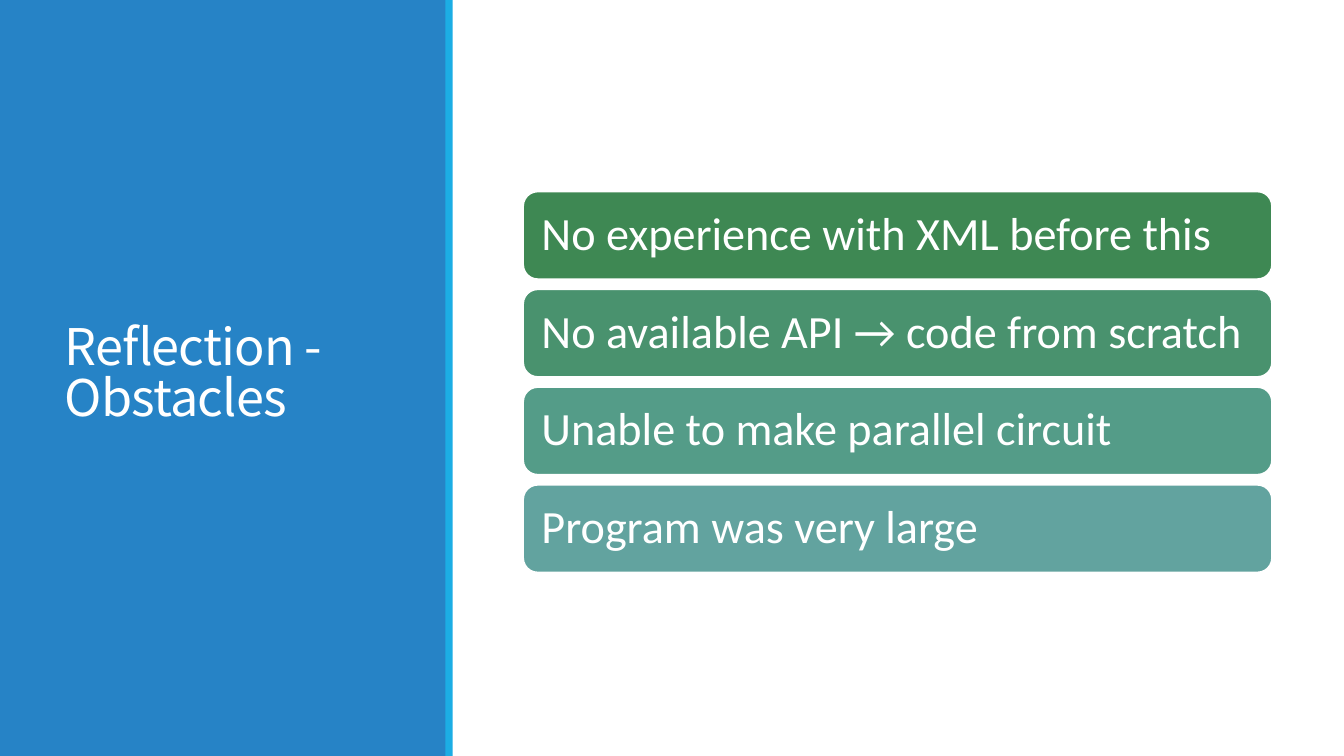
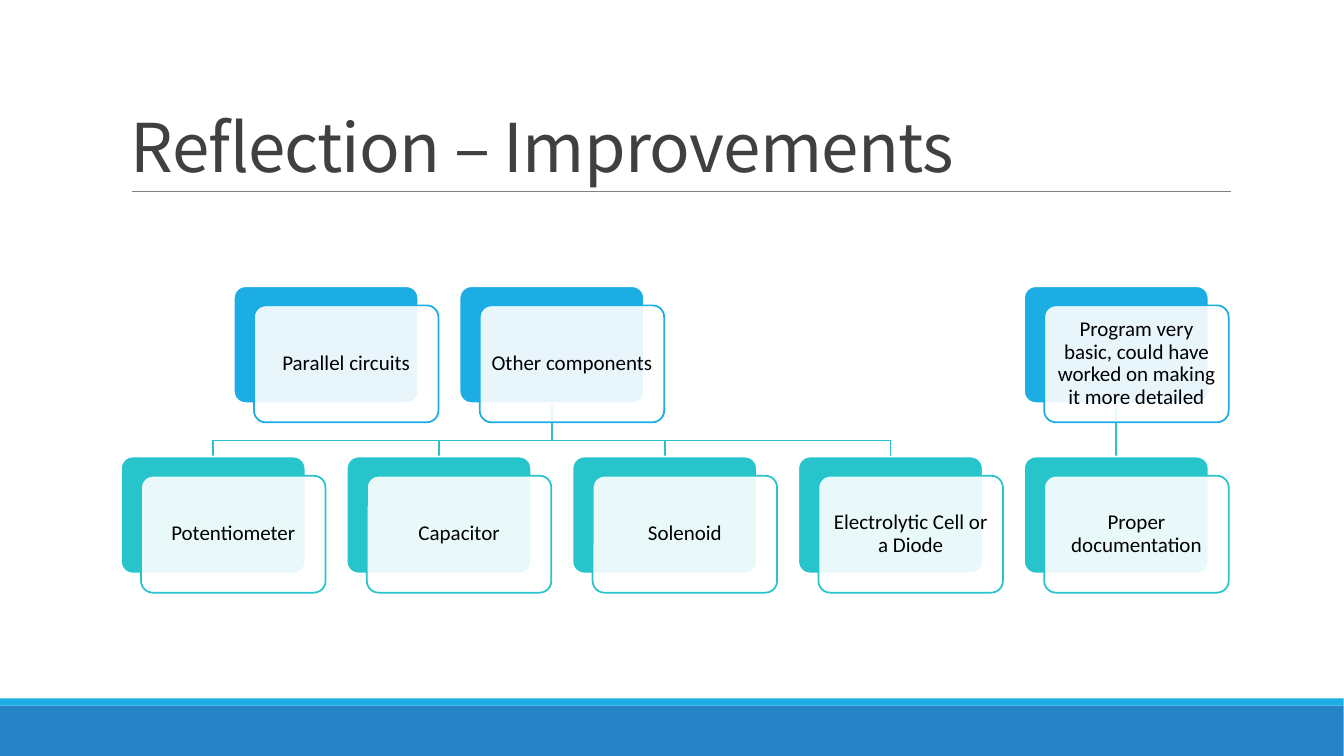
from pptx import Presentation
from pptx.dml.color import RGBColor
from pptx.enum.shapes import MSO_CONNECTOR, MSO_SHAPE
from pptx.enum.text import MSO_ANCHOR, PP_ALIGN
from pptx.oxml.ns import qn
from pptx.util import Emu, Pt
from lxml import etree

RECT, ROUND = MSO_SHAPE.RECTANGLE, MSO_SHAPE.ROUNDED_RECTANGLE
LINE = MSO_CONNECTOR.STRAIGHT
MIDDLE, BOTTOM = MSO_ANCHOR.MIDDLE, MSO_ANCHOR.BOTTOM
LEFT, CENTER = PP_ALIGN.LEFT, PP_ALIGN.CENTER

PX = 9144
WIDE, HIGH = 1333, 750
BLUE, SKY, TEAL = "2683C6", "1CADE4", "28C4CC"
WHITE, BLACK, DARK, GRAY = "FFFFFF", "000000", "404040", "808080"
HEAD, BODY = "Noto Sans CJK SC", "Calibri"

BARS = [
    ("No experience with XML before this", "3E8853"),
    ("No available API → code from scratch", "49926E"),
    ("Unable to make parallel circuit", "549C88"),
    ("Program was very large", "62A39F"),
]
BAR_X, BAR_Y, BAR_W, BAR_H, BAR_STEP = 519, 190, 743, 87, 97

TREE = [
    ("Parallel circuits", 0.5, []),
    ("Other components", 1.5,
     ["Potentiometer", "Capacitor", "Solenoid", "Electrolytic Cell or a Diode"]),
    ("Program very basic, could have worked on making it more detailed", 4,
     ["Proper documentation"]),
]
CARD_X, CARD_STEP, CARD_W, CARD_H = 120, 224, 183, 116
TOP_Y, LOW_Y, BUS_Y = 284, 453, 437
SHIFT_X, SHIFT_Y = 20, 19


def px(*nums):
    return [Emu(round(n * PX)) for n in nums]


def color(code):
    return RGBColor.from_string(code)


def write(shape, text, font, size, ink, inset, space, align=LEFT, anchor=MIDDLE):
    frame = shape.text_frame
    frame.text = text
    frame.word_wrap = True
    frame.vertical_anchor = anchor
    (frame.margin_left, frame.margin_top,
     frame.margin_right, frame.margin_bottom) = px(*inset)
    para = frame.paragraphs[0]
    para.alignment = align
    para.line_spacing = space
    run = para.runs[0]
    run.font.name = font
    run.font.size = Pt(size)
    run.font.color.rgb = color(ink)
    return run


def title(slide, text, box, size, ink, anchor):
    shape = slide.shapes.add_textbox(*px(*box))
    run = write(shape, text, HEAD, size, ink, (10, 5, 10, 5), 0.85, anchor=anchor)
    run.font._element.set("spc", "-50")


def block(slide, kind, box, fill, edge=None):
    shape = slide.shapes.add_shape(kind, *px(*box))
    shape.shadow.inherit = False
    shape.fill.solid()
    shape.fill.fore_color.rgb = color(fill)
    if edge:
        shape.line.color.rgb = color(edge)
        shape.line.width = Pt(1.25)
    else:
        shape.line.fill.background()
    return shape


def bands(slide, main, strip):
    block(slide, RECT, main, BLUE)
    block(slide, RECT, strip, SKY)


def stroke(slide, ends, ink, width):
    line = slide.shapes.add_connector(LINE, *px(*ends))
    line.line.color.rgb = color(ink)
    line.line.width = Pt(width)
    etree.SubElement(line._element.spPr, qn("a:effectLst"))


def card(slide, text, col, y, hue):
    x = CARD_X + col * CARD_STEP
    back = block(slide, ROUND, (x, y, CARD_W, CARD_H), hue, WHITE)
    front = block(slide, ROUND, (x + SHIFT_X, y + SHIFT_Y, CARD_W, CARD_H), WHITE, hue)
    for shape in (back, front):
        shape.adjustments[0] = 0.1
    tint = front.fill._xPr.find(qn("a:solidFill"))[0]
    etree.SubElement(tint, qn("a:alpha")).set("val", "90000")
    write(front, text, BODY, 15, BLACK, (6, 6, 6, 6), 0.9, CENTER)


def middle(col):
    return CARD_X + col * CARD_STEP + CARD_W / 2


def links(slide, col, cols):
    base = TOP_Y + CARD_H
    x = middle(col)
    if len(cols) == 1:
        parts = [(x, base, x, LOW_Y)]
    else:
        xs = [middle(c) for c in cols]
        parts = [(x, base, x, BUS_Y), (xs[0], BUS_Y, xs[-1], BUS_Y)]
        parts += [(k, BUS_Y, k, LOW_Y) for k in xs]
    for ends in parts:
        stroke(slide, ends, TEAL, 1.25)


def hurdles(slide):
    bands(slide, (0, 0, 443, HIGH), (442, 0, 7, HIGH))
    title(slide, "Reflection - Obstacles", (54, 57, 337, 631), 36, WHITE, MIDDLE)
    for i, (text, fill) in enumerate(BARS):
        box = (BAR_X, BAR_Y + i * BAR_STEP, BAR_W, BAR_H)
        bar = block(slide, ROUND, box, fill, WHITE)
        write(bar, text, BODY, 33, WHITE, (14, 14, 14, 14), 0.9)


def plans(slide):
    bands(slide, (0, 700, WIDE, 50), (0, 693, WIDE, 7))
    stroke(slide, (131, 190, 1221, 190), GRAY, 0.5)
    title(slide, "Reflection – Improvements", (120, 31, 1100, 159), 48, DARK, BOTTOM)
    for text, col, kids in TREE:
        first = col - (len(kids) - 1) / 2
        cols = [first + i for i in range(len(kids))]
        if kids:
            links(slide, col, cols)
        card(slide, text, col, TOP_Y, SKY)
        for kid, spot in zip(kids, cols):
            card(slide, kid, spot, LOW_Y, TEAL)


def main():
    """Build the two reflection slides and save them."""
    deck = Presentation()
    deck.slide_width, deck.slide_height = px(WIDE + 1 / 3, HIGH)
    for draw in (hurdles, plans):
        draw(deck.slides.add_slide(deck.slide_layouts[6]))
    deck.save("out.pptx")


if __name__ == "__main__":
    main()
